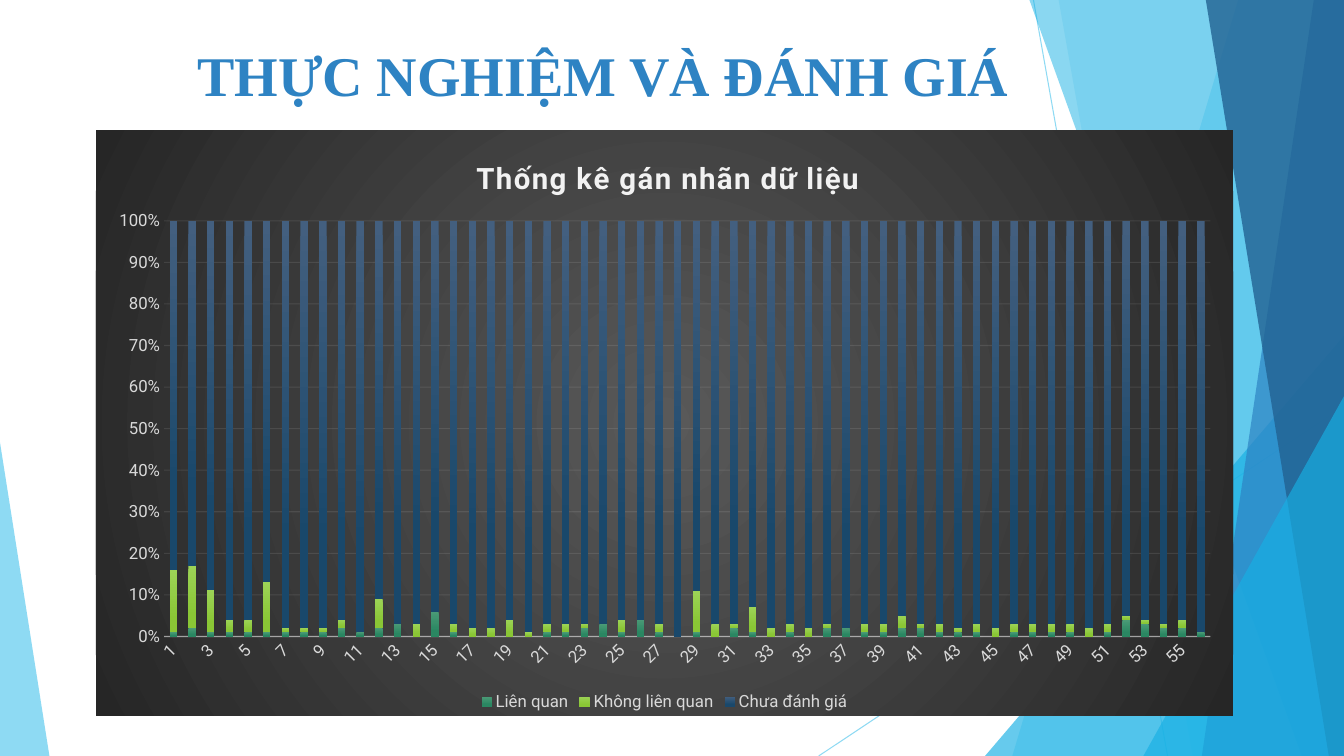
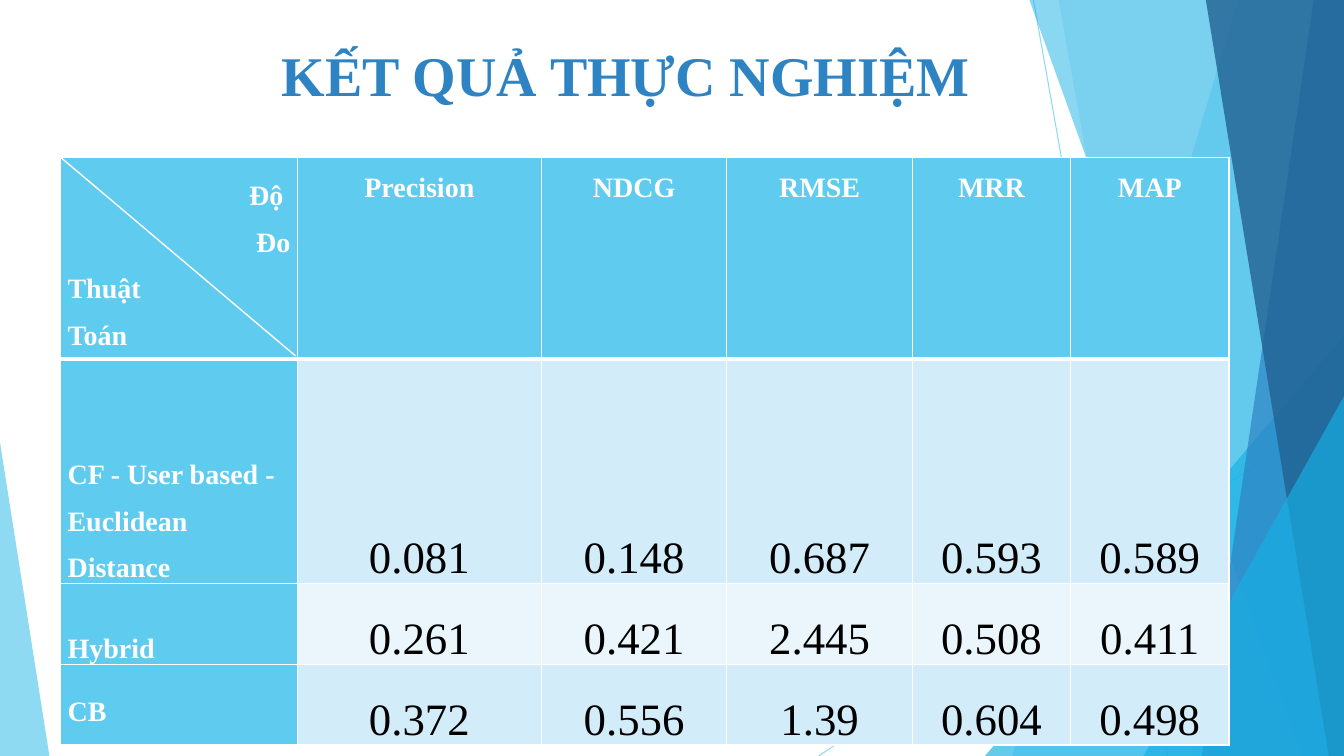
from dataclasses import dataclass
from typing import Any

from lxml.etree import SubElement
from pptx import Presentation
from pptx.chart.data import CategoryChartData
from pptx.dml.color import RGBColor
from pptx.enum.chart import XL_CHART_TYPE, XL_LEGEND_POSITION, XL_TICK_MARK
from pptx.enum.shapes import MSO_CONNECTOR, MSO_SHAPE
from pptx.enum.text import MSO_ANCHOR, PP_ALIGN
from pptx.oxml import parse_xml
from pptx.oxml.ns import nsdecls, qn
from pptx.util import Pt

EMU_PER_PX = 9144
SLIDE_WIDTH, SLIDE_HEIGHT = 1333, 750
SERIF, SANS = "Times New Roman", "Roboto"
WHITE, BLACK = "FFFFFF", "000000"
SKY, CYAN, BLUE, NAVY = "5FCBEF", "17B0E4", "2E83C3", "226292"
ROW_TINTS = ["D2ECF9", "EAF6FC"]
LABEL_GREY, PALE_GREY = "D9D9D9", "F2F2F2"


@dataclass(frozen=True)
class Line:
    start: tuple[int, int]
    end: tuple[int, int]
    color: str
    width: float
    opacity: int = 100


@dataclass(frozen=True)
class Band:
    top_left: int
    top_right: int
    bottom_right: int
    bottom_left: int
    color: str
    opacity: int


@dataclass(frozen=True)
class Triangle:
    left: int
    top: int
    width: int
    height: int
    apex: int
    color: str
    opacity: int


@dataclass(frozen=True)
class Series:
    name: str
    top_color: str
    bottom_color: str
    values: list[int]


@dataclass(frozen=True)
class CellStyle:
    size: int
    color: str
    bold: bool
    fill: str
    anchor: Any


DECORATIONS = [
    Line((1025, 0), (1158, 750), SKY, 0.75, 70),
    Line((1333, 403), (812, 750), SKY, 0.75, 70),
    Band(1228, 1333, 1333, 1004, SKY, 36),
    Band(1050, 1333, 1333, 1183, SKY, 20),
    Triangle(977, 333, 356, 417, 1, CYAN, 66),
    Band(1021, 1333, 1333, 1291, CYAN, 50),
    Band(1303, 1333, 1333, 1192, BLUE, 70),
    Band(1196, 1333, 1333, 1318, NAVY, 80),
    Triangle(1134, 393, 199, 357, 1, CYAN, 66),
    Triangle(0, 439, 49, 311, 0, SKY, 70),
]

LABEL_SERIES = [
    Series("Liên quan", "4A9A76", "2A8762", [
        1, 2, 1, 1, 1, 1, 1, 1, 1, 2, 1, 2, 3, 0, 6, 1, 0, 0, 0, 0, 1, 1, 2, 3, 1, 4, 1, 0,
        1, 0, 2, 1, 0, 1, 0, 2, 2, 1, 1, 2, 2, 1, 1, 1, 0, 1, 1, 1, 1, 0, 1, 4, 3, 2, 2, 1]),
    Series("Không liên quan", "9CD356", "8AC635", [
        15, 15, 10, 3, 3, 12, 1, 1, 1, 2, 0, 7, 0, 3, 0, 2, 2, 2, 4, 1, 2, 2, 1, 0, 3, 0, 2, 0,
        10, 3, 1, 6, 2, 2, 2, 1, 0, 2, 2, 3, 1, 2, 1, 2, 2, 2, 2, 2, 2, 2, 2, 1, 1, 1, 2, 0]),
    Series("Chưa đánh giá", "435F7F", "19486B", [
        84, 83, 88, 97, 96, 87, 97, 99, 97, 96, 99, 91, 97, 97, 94, 97, 97, 97, 96, 99, 97, 97,
        97, 96, 96, 95, 97, 99, 89, 97, 97, 93, 97, 97, 97, 97, 97, 97, 97, 95, 97, 97, 97, 97,
        97, 97, 97, 97, 97, 97, 97, 96, 96, 97, 96, 99]),
]

COLUMN_WIDTHS = [235, 242, 184, 184, 157, 157]
ROW_HEIGHTS = [200, 223, 51, 51]
METRICS = ["Precision", "NDCG", "RMSE", "MRR", "MAP"]
RESULTS = [
    ["CF - User based - Euclidean Distance", "0.081", "0.148", "0.687", "0.593", "0.589"],
    ["Hybrid", "0.261", "0.421", "2.445", "0.508", "0.411"],
    ["CB", "0.372", "0.556", "1.39", "0.604", "0.498"],
]


def px(*lengths: int) -> list[int]:
    return [length * EMU_PER_PX for length in lengths]


def rgb(color: str) -> RGBColor:
    return RGBColor.from_string(color)


def set_opacity(element: Any, percent: int) -> None:
    for color in element.iter(qn("a:srgbClr")):
        SubElement(color, qn("a:alpha")).set("val", str(percent * 1000))


def style_font(font: Any, name: str, size: int, color: str, bold: bool = False) -> None:
    font.name, font.size, font.bold = name, Pt(size), bold
    font.color.rgb = rgb(color)


def add_line(slide: Any, line: Line) -> None:
    connector = slide.shapes.add_connector(MSO_CONNECTOR.STRAIGHT, *px(*line.start, *line.end))
    connector.line.color.rgb = rgb(line.color)
    connector.line.width = Pt(line.width)
    properties = connector._element.spPr
    SubElement(properties, qn("a:effectLst"))
    if line.opacity < 100:
        set_opacity(properties, line.opacity)


def paint(shape: Any, color: str, opacity: int) -> None:
    shape.shadow.inherit = False
    shape.fill.solid()
    shape.fill.fore_color.rgb = rgb(color)
    shape.line.fill.background()
    set_opacity(shape._element.spPr, opacity)


def add_band(slide: Any, band: Band) -> None:
    builder = slide.shapes.build_freeform(band.top_left, 0, scale=EMU_PER_PX)
    builder.add_line_segments([
        (band.top_right, 0), (band.bottom_right, SLIDE_HEIGHT), (band.bottom_left, SLIDE_HEIGHT)])
    paint(builder.convert_to_shape(), band.color, band.opacity)


def add_triangle(slide: Any, triangle: Triangle) -> None:
    shape = slide.shapes.add_shape(
        MSO_SHAPE.ISOSCELES_TRIANGLE,
        *px(triangle.left, triangle.top, triangle.width, triangle.height))
    shape.adjustments[0] = triangle.apex
    paint(shape, triangle.color, triangle.opacity)


def add_titled_slide(presentation: Any, title: str, title_width: int) -> Any:
    slide = presentation.slides.add_slide(presentation.slide_layouts[6])
    draw = {Line: add_line, Band: add_band, Triangle: add_triangle}
    for decoration in DECORATIONS:
        draw[type(decoration)](slide, decoration)
    text_frame = slide.shapes.add_textbox(*px(128, 35, title_width, 78)).text_frame
    text_frame.word_wrap = True
    text_frame.vertical_anchor = MSO_ANCHOR.MIDDLE
    paragraph = text_frame.paragraphs[0]
    paragraph.alignment = PP_ALIGN.CENTER
    run = paragraph.add_run()
    run.text = title
    style_font(run.font, SERIF, 40, BLUE, True)
    return slide


def place(element: Any, index: int, **fractions: float) -> None:
    for layout in element.findall(qn("c:layout")):
        element.remove(layout)
    settings = {"layoutTarget": "inner"} if "w" in fractions else {}
    settings |= {"xMode": "edge", "yMode": "edge", **fractions}
    tags = "".join(f'<c:{tag} val="{value}"/>' for tag, value in settings.items())
    element.insert(index, parse_xml(
        f'<c:layout {nsdecls("c")}><c:manualLayout>{tags}</c:manualLayout></c:layout>'))


def fill_chart_background(chart: Any, center: str, edge: str) -> None:
    chart._chartSpace.chart.addnext(parse_xml(
        f'<c:spPr {nsdecls("c", "a")}><a:gradFill><a:gsLst>'
        f'<a:gs pos="0"><a:srgbClr val="{center}"/></a:gs>'
        f'<a:gs pos="100000"><a:srgbClr val="{edge}"/></a:gs></a:gsLst>'
        '<a:path path="circle"><a:fillToRect l="50000" t="50000" r="50000" b="50000"/></a:path>'
        '</a:gradFill><a:ln><a:noFill/></a:ln></c:spPr>'))


def style_axes(chart: Any) -> None:
    category_axis, value_axis = chart.category_axis, chart.value_axis
    for axis in (category_axis, value_axis):
        axis.major_tick_mark = axis.minor_tick_mark = XL_TICK_MARK.NONE
        style_font(axis.tick_labels.font, SANS, 12, LABEL_GREY)
    body = category_axis._element.find(qn("c:txPr")).find(qn("a:bodyPr"))
    body.set("rot", "-2700000")
    body.set("vert", "horz")
    value_axis.tick_labels.number_format = "0%"
    value_axis.tick_labels.number_format_is_linked = False
    value_axis.format.line.fill.background()
    value_axis.has_major_gridlines = True
    strokes = [
        (category_axis.format.line, category_axis._element.find(qn("c:spPr")), 1, 54),
        (value_axis.major_gridlines.format.line,
         value_axis._element.find(qn("c:majorGridlines")), 0.75, 10),
    ]
    for line, element, width, opacity in strokes:
        line.color.rgb = rgb(PALE_GREY)
        line.width = Pt(width)
        set_opacity(element, opacity)


def add_label_chart(slide: Any) -> None:
    data = CategoryChartData()
    data.categories = [str(number) for number in range(1, len(LABEL_SERIES[0].values) + 1)]
    for series in LABEL_SERIES:
        data.add_series(series.name, series.values)
    chart = slide.shapes.add_chart(
        XL_CHART_TYPE.COLUMN_STACKED_100, *px(95, 129, 1128, 581), data).chart
    style_font(chart.font, SANS, 10, BLACK)
    fill_chart_background(chart, "595959", "262626")

    chart.has_title = True
    run = chart.chart_title.text_frame.paragraphs[0].add_run()
    run.text = "Thống kê gán nhãn dữ liệu"
    style_font(run.font, SANS, 21, PALE_GREY, True)
    run._r.get_or_add_rPr().set("spc", "100")
    place(chart.chart_title._element, 1, x=0.33, y=0.04)
    place(chart._chartSpace.chart.plotArea, 0, x=0.06, y=0.155, w=0.92, h=0.71)

    chart.has_legend = True
    chart.legend.position = XL_LEGEND_POSITION.BOTTOM
    chart.legend.include_in_layout = False
    style_font(chart.legend.font, SANS, 12, LABEL_GREY)
    style_axes(chart)

    plot = chart.plots[0]
    plot.gap_width, plot.overlap, plot.vary_by_categories = 150, 100, False
    for drawn, series in zip(plot.series, LABEL_SERIES):
        fill = drawn.format.fill
        fill.gradient()
        fill.gradient_angle = 270
        colors = (series.top_color, series.bottom_color)
        for stop, color, position in zip(fill.gradient_stops, colors, (0, 0.78)):
            stop.color.rgb = rgb(color)
            stop.position = position


def set_borders(cell: Any, top: int, bottom: int) -> None:
    properties = cell._tc.get_or_add_tcPr()
    widths = {"lnL": 1, "lnR": 1, "lnT": top, "lnB": bottom}
    for index, (tag, width) in enumerate(widths.items()):
        properties.insert(index, parse_xml(
            f'<a:{tag} {nsdecls("a")} w="{Pt(width)}"><a:solidFill>'
            f'<a:srgbClr val="{WHITE}"/></a:solidFill></a:{tag}>'))


def write_cell(cell: Any, lines: list[tuple[str, Any]], style: CellStyle) -> None:
    cell.margin_left, cell.margin_right, cell.margin_top, cell.margin_bottom = px(7, 7, 0, 0)
    cell.vertical_anchor = style.anchor
    cell.fill.solid()
    cell.fill.fore_color.rgb = rgb(style.fill)
    for index, (text, alignment) in enumerate(lines):
        frame = cell.text_frame
        paragraph = frame.add_paragraph() if index else frame.paragraphs[0]
        paragraph.alignment, paragraph.line_spacing = alignment, 1.5
        run = paragraph.add_run()
        run.text = text
        style_font(run.font, SERIF, style.size, style.color, style.bold)


def add_result_table(slide: Any) -> None:
    table = slide.shapes.add_table(
        len(ROW_HEIGHTS), len(COLUMN_WIDTHS),
        *px(60, 156, sum(COLUMN_WIDTHS), sum(ROW_HEIGHTS))).table
    for column, width in zip(table.columns, px(*COLUMN_WIDTHS)):
        column.width = width
    for row, height in zip(table.rows, px(*ROW_HEIGHTS)):
        row.height = height
    corner = [("Độ ", PP_ALIGN.RIGHT), ("Đo", PP_ALIGN.RIGHT),
              ("Thuật", PP_ALIGN.LEFT), ("Toán", PP_ALIGN.LEFT)]
    write_cell(table.cell(0, 0), corner, CellStyle(20, WHITE, True, SKY, MSO_ANCHOR.MIDDLE))
    for column, metric in enumerate(METRICS, 1):
        write_cell(table.cell(0, column), [(metric, PP_ALIGN.CENTER)],
                   CellStyle(20, WHITE, True, SKY, MSO_ANCHOR.TOP))
    for row, (algorithm, *scores) in enumerate(RESULTS, 1):
        anchor = MSO_ANCHOR.MIDDLE if row == len(RESULTS) else MSO_ANCHOR.BOTTOM
        write_cell(table.cell(row, 0), [(algorithm, PP_ALIGN.LEFT)],
                   CellStyle(20, WHITE, True, SKY, anchor))
        tint = ROW_TINTS[(row - 1) % 2]
        for column, score in enumerate(scores, 1):
            write_cell(table.cell(row, column), [(score, PP_ALIGN.CENTER)],
                       CellStyle(32, BLACK, False, tint, MSO_ANCHOR.BOTTOM))
    for row in range(len(ROW_HEIGHTS)):
        for column in range(len(COLUMN_WIDTHS)):
            set_borders(table.cell(row, column), 3 if row == 1 else 1, 3 if row == 0 else 1)


def main() -> None:
    presentation = Presentation()
    presentation.slide_width, presentation.slide_height = px(SLIDE_WIDTH, SLIDE_HEIGHT)
    add_label_chart(add_titled_slide(presentation, "THỰC NGHIỆM VÀ ĐÁNH GIÁ", 940))
    result_slide = add_titled_slide(presentation, "KẾT QUẢ THỰC NGHIỆM", 985)
    add_result_table(result_slide)
    add_line(result_slide, Line((60, 156), (293, 353), WHITE, 1))
    presentation.save("out.pptx")


if __name__ == "__main__":
    main()
